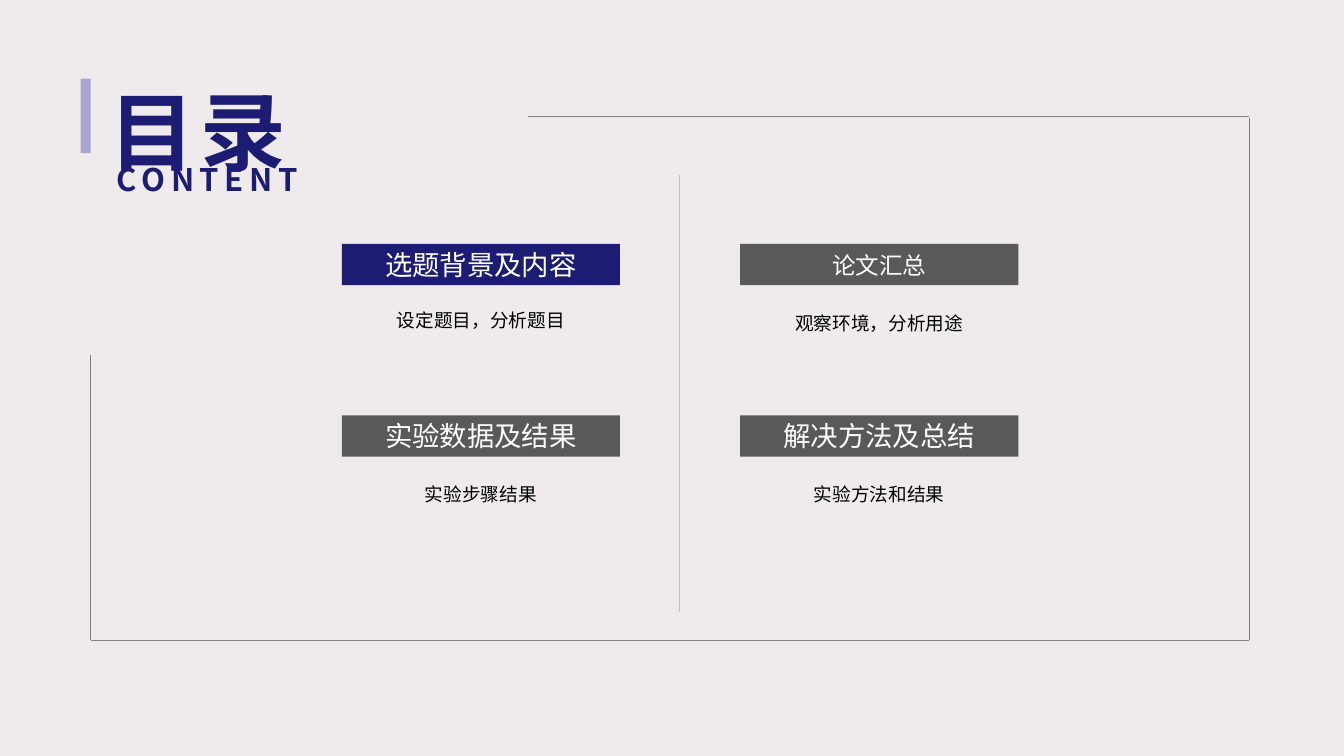
"""Build the contents slide with four topics inside an open frame."""
from dataclasses import dataclass

from lxml import etree
from pptx import Presentation
from pptx.dml.color import RGBColor
from pptx.enum.shapes import MSO_CONNECTOR as CONN, MSO_SHAPE as SHAPE
from pptx.enum.text import MSO_ANCHOR as ANCHOR, PP_ALIGN as ALIGN
from pptx.oxml.ns import qn
from pptx.util import Inches, Pt

FONT = "Noto Sans CJK SC"
NAVY, GREY, LILAC = "1C1C73", "595959", "AAA4D1"
COLS, ROWS = (3.39, 7.34), (2.42, 4.12)
BAR_W, BAR_H, CAPTION_H = 2.76, 0.41, 0.7


@dataclass
class Topic:
    title: str
    caption: str
    fill: str = GREY
    size: float = 19.6
    lift: float = 0


@dataclass
class Heading:
    text: str
    box: tuple[float, float, float, float]
    size: float
    align: ALIGN


@dataclass
class Line:
    start: tuple[float, float]
    end: tuple[float, float]
    color: str = "808080"


TOPICS = [
    Topic("选题背景及内容", "设定题目，分析题目", fill=NAVY, lift=0.03),
    Topic("论文汇总", "观察环境，分析用途", size=16.8),
    Topic("实验数据及结果", "实验步骤结果"),
    Topic("解决方法及总结", "实验方法和结果"),
]
HEADINGS = [
    Heading("目录", (0.99, 0.73, 4.02, 1.01), 61.2, ALIGN.LEFT),
    Heading("CONTENT", (1.06, 1.54, 2.15, 0.4), 22.2, ALIGN.JUSTIFY),
]
LINES = [
    Line((6.74, 1.74), (6.74, 6.07), "BFBFBF"),
    Line((5.24, 1.15), (12.39, 1.15)),
    Line((12.39, 1.17), (12.39, 6.35)),
    Line((12.39, 6.35), (0.9, 6.35)),
    Line((0.9, 6.35), (0.9, 3.52)),
]


def rgb(color: str) -> RGBColor:
    return RGBColor.from_string(color)


def add_text(sp, text: str, size: float, color: str, align: ALIGN,
             spacing: float | None = None, heading: bool = False) -> None:
    p = sp.text_frame.paragraphs[0]
    p.alignment = align
    p.line_spacing = spacing
    r = p.add_run()
    r.text = text
    r.font.size = Pt(size)
    r.font.name = FONT
    r.font.color.rgb = rgb(color)
    props = r.font._element
    etree.SubElement(props, qn("a:ea")).set("typeface", FONT)
    if heading:
        r.font.bold = True
        props.set("spc", "400")


def set_frame(sp, side: float, top: float, wrap: bool) -> None:
    tf = sp.text_frame
    tf.word_wrap = wrap
    tf.vertical_anchor = ANCHOR.MIDDLE
    tf.margin_left = tf.margin_right = Inches(side)
    tf.margin_top = tf.margin_bottom = Inches(top)


def add_bar(s, x: float, y: float, w: float, h: float, fill: str):
    sp = s.shapes.add_shape(SHAPE.RECTANGLE, *map(Inches, (x, y, w, h)))
    sp.shadow.inherit = False
    sp.fill.solid()
    sp.fill.fore_color.rgb = rgb(fill)
    sp.line.fill.background()
    return sp


def add_topic(s, topic: Topic, x: float, y: float) -> None:
    bar = add_bar(s, x, y, BAR_W, BAR_H, topic.fill)
    set_frame(bar, 0.13, 0.07, False)
    add_text(bar, topic.title, topic.size, "FFFFFF", ALIGN.CENTER)
    box = (x, y + BAR_H - topic.lift, BAR_W, CAPTION_H)
    caption = s.shapes.add_textbox(*map(Inches, box))
    set_frame(caption, 0, 0, True)
    add_text(caption, topic.caption, 13.3, "000000", ALIGN.CENTER, 1.2)


def add_heading(s, heading: Heading) -> None:
    sp = s.shapes.add_textbox(*map(Inches, heading.box))
    sp.text_frame.word_wrap = True
    add_text(sp, heading.text, heading.size, NAVY, heading.align, heading=True)


def add_line(s, line: Line) -> None:
    ends = map(Inches, line.start + line.end)
    conn = s.shapes.add_connector(CONN.STRAIGHT, *ends)
    conn.line.color.rgb = rgb(line.color)
    conn.line.width = Pt(0.5)
    etree.SubElement(conn._element.spPr, qn("a:effectLst"))


def main() -> None:
    prs = Presentation()
    prs.slide_width, prs.slide_height = Inches(13.33), Inches(7.5)
    s = prs.slides.add_slide(prs.slide_layouts[6])
    s.background.fill.solid()
    s.background.fill.fore_color.rgb = rgb("EFEBEC")
    add_bar(s, 0.8, 0.78, 0.1, 0.74, LILAC).rotation = 180
    for heading in HEADINGS:
        add_heading(s, heading)
    for i, topic in enumerate(TOPICS):
        row, col = divmod(i, len(COLS))
        add_topic(s, topic, COLS[col], ROWS[row])
    for line in LINES:
        add_line(s, line)
    prs.save("out.pptx")


if __name__ == "__main__":
    main()
